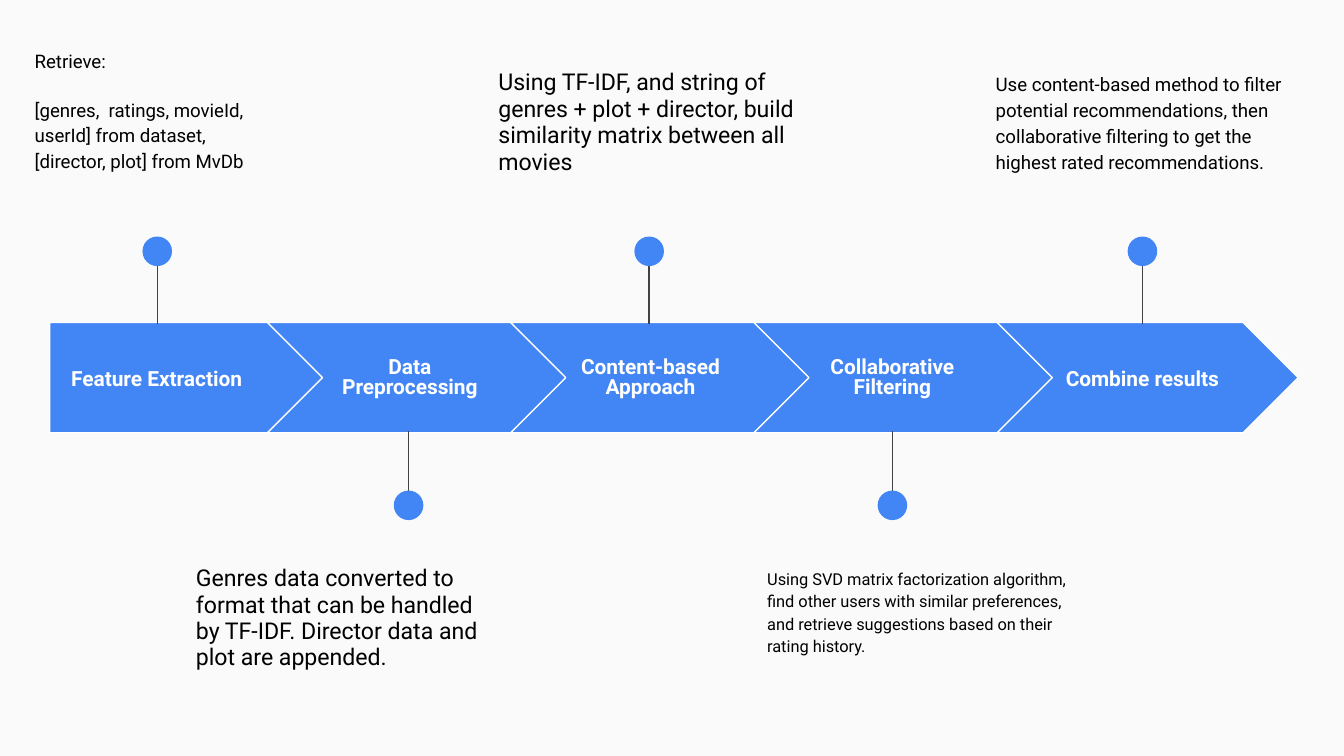
"""Builds a slide of a five-step movie recommendation pipeline."""
from lxml.etree import SubElement
from pptx import Presentation
from pptx.dml.color import RGBColor
from pptx.enum.shapes import MSO_CONNECTOR, MSO_SHAPE
from pptx.enum.text import MSO_ANCHOR, PP_ALIGN
from pptx.oxml.ns import qn
from pptx.util import Inches, Pt

BLUE = RGBColor(0x42, 0x85, 0xF4)
GRAY = RGBColor(0x42, 0x42, 0x42)
WHITE = RGBColor(0xFF, 0xFF, 0xFF)
BLACK = RGBColor(0x00, 0x00, 0x00)
PAPER = RGBColor(0xFA, 0xFA, 0xFA)

STEPS = [
    ("Feature Extraction", 1.17, 0.37, 1.59, 1.0,
     ["Retrieve:",
      "[genres,  ratings, movieId, userId] from dataset, "
      "[director, plot] from MvDb"],
     (0.16, 0.25, 1.93, 1.16), 10, 1.15),
    ("Data Preprocessing", 3.04, 2.33, 1.44, 0.8,
     ["Genres data converted to format that can be handled by TF-IDF. "
      "Director data and plot are appended."],
     (1.36, 4.11, 2.45, 0.99), 12.4, 0.95),
    ("Content-based Approach", 4.83, 4.12, 1.44, 0.8,
     ["Using TF-IDF, and string of genres + plot + director, "
      "build similarity matrix between all movies"],
     (3.61, 0.42, 2.45, 0.99), 12.4, 0.95),
    ("Collaborative Filtering", 6.64, 5.92, 1.44, 0.8,
     ["Using SVD matrix factorization algorithm, find other users with "
      "similar preferences, and retrieve suggestions based on their "
      "rating history."],
     (5.61, 4.11, 2.45, 0.99), 8.8, 1.15),
    ("Combine results", 8.5, 7.78, 1.44, 1.0,
     ["Use content-based method to filter potential recommendations, then "
      "collaborative filtering to get the highest rated recommendations."],
     (7.31, 0.42, 2.45, 0.99), 10, 1.15),
]


def add_text(area, lines, size, color, space):
    box = slide.shapes.add_textbox(*[Inches(v) for v in area])
    frame = box.text_frame
    frame.word_wrap = True
    frame.margin_left = frame.margin_right = Inches(0.1)
    frame.margin_top = frame.margin_bottom = Inches(0.1)
    frame.text = "\n".join(lines)
    for para in frame.paragraphs:
        para.line_spacing = space
        for run in para.runs:
            run.font.name = "Roboto"
            run.font.size = Pt(size)
            run.font.color.rgb = color
    return frame


def add_shape(shapes, kind, area):
    shape = shapes.add_shape(kind, *[Inches(v) for v in area])
    shape.shadow.inherit = False
    shape.fill.solid()
    shape.fill.fore_color.rgb = BLUE
    return shape


deck = Presentation()
deck.slide_width = Inches(10)
deck.slide_height = Inches(10 * 9 / 16)
slide = deck.slides.add_slide(deck.slide_layouts[6])
slide.background.fill.solid()
slide.background.fill.fore_color.rgb = PAPER

for i, (name, mid, edge, wide, tight, lines, area, size, space) in enumerate(STEPS):
    if i == 0:
        arrow = add_shape(slide.shapes, MSO_SHAPE.PENTAGON, (0.37, 2.4, 2.05, 0.82))
    else:
        left = 1.99 + 1.81 * (i - 1)
        arrow = add_shape(slide.shapes, MSO_SHAPE.CHEVRON, (left, 2.4, 2.24, 0.82))
    arrow.adjustments[0] = 0.5
    arrow.line.color.rgb = WHITE
    arrow.line.width = Pt(0.75)

    label = add_text((edge, 2.56, wide, 0.51), [name], 11.2, WHITE, tight)
    label.vertical_anchor = MSO_ANCHOR.MIDDLE
    label.paragraphs[0].alignment = PP_ALIGN.CENTER
    label.paragraphs[0].runs[0].font.bold = True

    start, end, top = (1.8, 2.41, 1.76) if i % 2 == 0 else (3.82, 3.21, 3.65)
    pin = slide.shapes.add_group_shape()
    stem = pin.shapes.add_connector(
        MSO_CONNECTOR.STRAIGHT,
        Inches(mid), Inches(start), Inches(mid), Inches(end))
    stem.line.color.rgb = GRAY
    stem.line.width = Pt(0.75)
    SubElement(stem._element.spPr, qn("a:effectLst"))
    dot = add_shape(pin.shapes, MSO_SHAPE.OVAL, (mid - 0.11, top, 0.22, 0.22))
    dot.line.fill.background()

    note = add_text(area, lines, size, BLACK, space)
    note.paragraphs[-1].space_after = Pt(12)
    if len(lines) > 1:
        note.paragraphs[-1].space_before = Pt(12)

deck.save("out.pptx")
